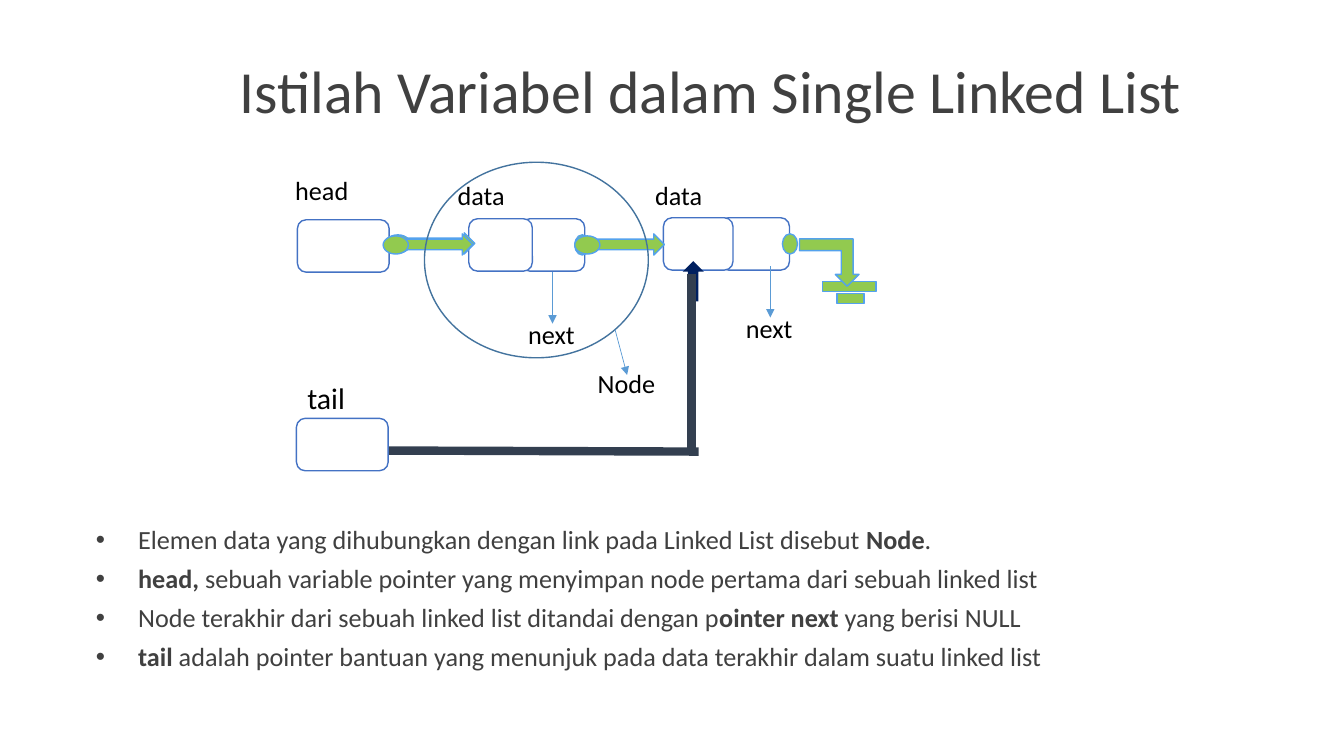
from pptx import Presentation, util as u
from pptx.dml.color import RGBColor
from pptx.enum import shapes, text
from pptx.oxml.ns import qn
from lxml import etree

WHITE = RGBColor(0xFF, 0xFF, 0xFF)
BLACK = RGBColor(0, 0, 0)
GRAY = RGBColor(0x40, 0x40, 0x40)
BLUE = RGBColor(0x44, 0x72, 0xC4)
NAVY = RGBColor(0x00, 0x20, 0x60)
GREEN = RGBColor(0x92, 0xCA, 0x4F)
SKY = RGBColor(0x54, 0xA2, 0xED)
RING = RGBColor(0x43, 0x73, 0x9E)
POINTER = RGBColor(0x5B, 0x9B, 0xD5)
SLATE = RGBColor(0x33, 0x3F, 0x50)
KIND = shapes.MSO_SHAPE


class Diagram:
    font = "Calibri"

    def __init__(self, s):
        self.s = s

    def shape(self, kind, x, y, w, h, fill=None, line=None):
        sp = self.s.shapes.add_shape(kind, *map(u.Inches, (x, y, w, h)))
        sp.shadow.inherit = False
        if fill is None:
            sp.fill.background()
        else:
            sp.fill.solid()
            sp.fill.fore_color.rgb = fill
        if line is None:
            sp.line.fill.background()
        else:
            sp.line.color.rgb = line
            sp.line.width = u.Pt(1)
        return sp

    def box(self, x, y, w, h=0.52):
        return self.shape(KIND.ROUNDED_RECTANGLE, x, y, w, h, WHITE, BLUE)

    def green(self, kind, x, y, w, h):
        return self.shape(kind, x, y, w, h, GREEN, SKY)

    def link(self, x, y):
        self.green(KIND.RIGHT_ARROW, x + 0.13, y - 0.02, 0.76, 0.21)
        self.green(KIND.OVAL, x, y, 0.25, 0.18)

    def line(self, x1, y1, x2, y2, color, width, arrow=False):
        c = self.s.shapes.add_connector(
            shapes.MSO_CONNECTOR.STRAIGHT, *map(u.Inches, (x1, y1, x2, y2)))
        c.line.color.rgb = color
        c.line.width = u.Pt(width)
        if arrow:
            etree.SubElement(c.line._get_or_add_ln(), qn("a:tailEnd"), type="triangle")
        etree.SubElement(c._element.spPr, qn("a:effectLst"))

    def pointer(self, x1, y1, x2, y2):
        self.line(x1, y1, x2, y2, POINTER, 0.5, True)

    def frame(self, x, y, w, h, wrap=True):
        tf = self.s.shapes.add_textbox(*map(u.Inches, (x, y, w, h))).text_frame
        tf.word_wrap = wrap
        return tf

    def run(self, p, words, size, color, bold=False):
        r = p.add_run()
        r.text = words
        r.font.name = self.font
        r.font.size = u.Pt(size)
        r.font.color.rgb = color
        r.font.bold = bold

    def label(self, words, x, y, w, h=0.42, size=18.7):
        tf = self.frame(x, y, w, h, False)
        self.run(tf.paragraphs[0], words, size, BLACK)

    def title(self, words, x, y, w, h):
        tf = self.frame(x, y, w, h)
        tf.vertical_anchor = text.MSO_ANCHOR.MIDDLE
        p = tf.paragraphs[0]
        p.alignment = text.PP_ALIGN.CENTER
        p.line_spacing = 0.9
        self.run(p, words, 42.7, GRAY)

    def bullets(self, items, x, y, w, h):
        tf = self.frame(x, y, w, h)
        tf.margin_left = u.Inches(0.43)
        for i, runs in enumerate(items):
            p = tf.add_paragraph() if i else tf.paragraphs[0]
            p.line_spacing = 0.9
            p.space_before = u.Pt(7.5 if i else 0)
            pPr = p._p.get_or_add_pPr()
            pPr.set("marL", str(u.Inches(0.42)))
            pPr.set("indent", str(-u.Inches(0.42)))
            etree.SubElement(pPr, qn("a:buFont"), typeface="Arial")
            etree.SubElement(pPr, qn("a:buChar"), char="•")
            for words, bold in runs:
                self.run(p, words, 18.7, GRAY, bold)


def main():
    prs = Presentation()
    prs.slide_width, prs.slide_height = u.Inches(13.33), u.Inches(7.5)
    d = Diagram(prs.slides.add_slide(prs.slide_layouts[6]))

    d.box(7.14, 2.16, 0.69)
    d.box(6.58, 2.16, 0.69)
    d.shape(KIND.DOWN_ARROW, 6.77, 2.59, 0.21, 0.4, NAVY).rotation = 180

    d.title("Istilah Variabel dalam Single Linked List", 1.09, 0.29, 11.92, 1.29)
    d.bullets([
        [("Elemen data yang dihubungkan dengan link pada Linked List disebut ", False),
         ("Node", True), (".", False)],
        [("head, ", True),
         ("sebuah variable pointer yang menyimpan node pertama dari sebuah linked list", False)],
        [("Node terakhir dari sebuah linked list ditandai dengan p", False),
         ("ointer next ", True), ("yang berisi NULL", False)],
        [("tail ", True),
         ("adalah pointer bantuan yang menunjuk pada data terakhir dalam suatu linked list", False)],
    ], 0.52, 5.18, 12.39, 2.26)

    d.label("head", 2.83, 1.68, 0.73)
    for x in (4.44, 6.4):
        d.label("data", x, 1.73, 0.67)

    d.box(2.95, 2.18, 0.91)
    d.box(5.17, 2.17, 0.63)
    d.box(4.65, 2.17, 0.63)
    d.green(KIND.OVAL, 5.7, 2.33, 0.15, 0.2)
    d.box(2.94, 4.15, 0.91)
    d.green(KIND.OVAL, 7.76, 2.32, 0.15, 0.2)
    d.green(KIND.RECTANGLE, 8.3, 2.91, 0.27, 0.1)
    d.green(KIND.RECTANGLE, 8.16, 2.79, 0.53, 0.1)
    for x, y in ((5.7, 2.34), (3.82, 2.33), (3.8, 2.34)):
        d.link(x, y)

    for x, y in ((5.48, 2.7), (7.64, 2.64)):
        d.pointer(x, y, x, y + 0.51)
        d.label("next", x - 0.34, y + 0.41, 0.67)

    d.shape(KIND.OVAL, 4.21, 1.61, 2.22, 1.94, line=RING)
    d.pointer(6.1, 3.27, 6.22, 3.72)
    d.label("Node", 5.83, 3.59, 0.78)

    ground = d.green(KIND.BENT_UP_ARROW, 7.93, 2.37, 0.59, 0.47)
    ground._element.spPr.find(qn("a:xfrm")).set("flipV", "1")

    d.label("tail", 2.95, 3.72, 0.91, 0.46, 21.3)
    d.line(3.86, 4.47, 6.93, 4.48, SLATE, 6)
    d.line(6.86, 4.51, 6.86, 2.72, SLATE, 6)

    prs.save("out.pptx")


if __name__ == "__main__":
    main()
